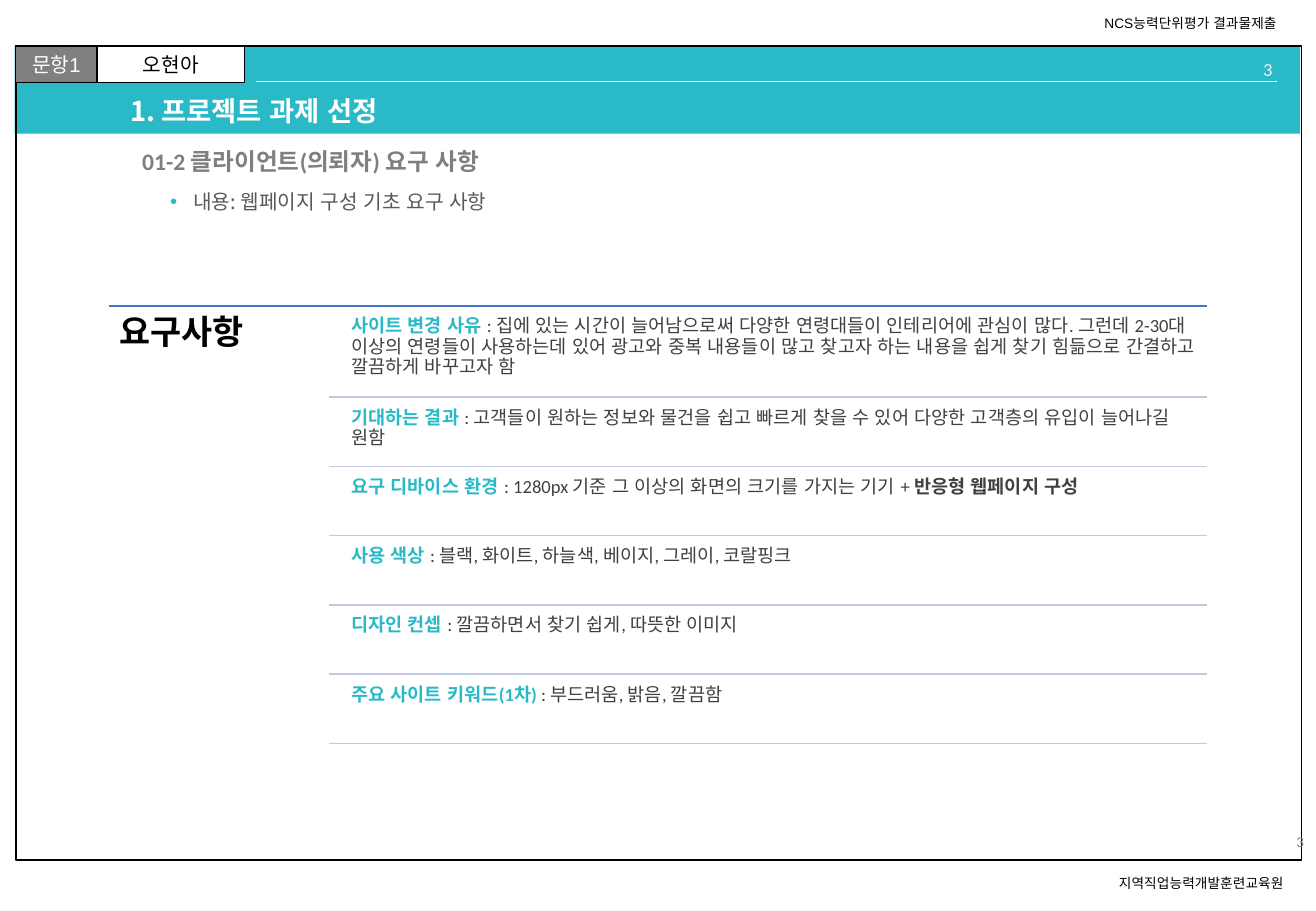
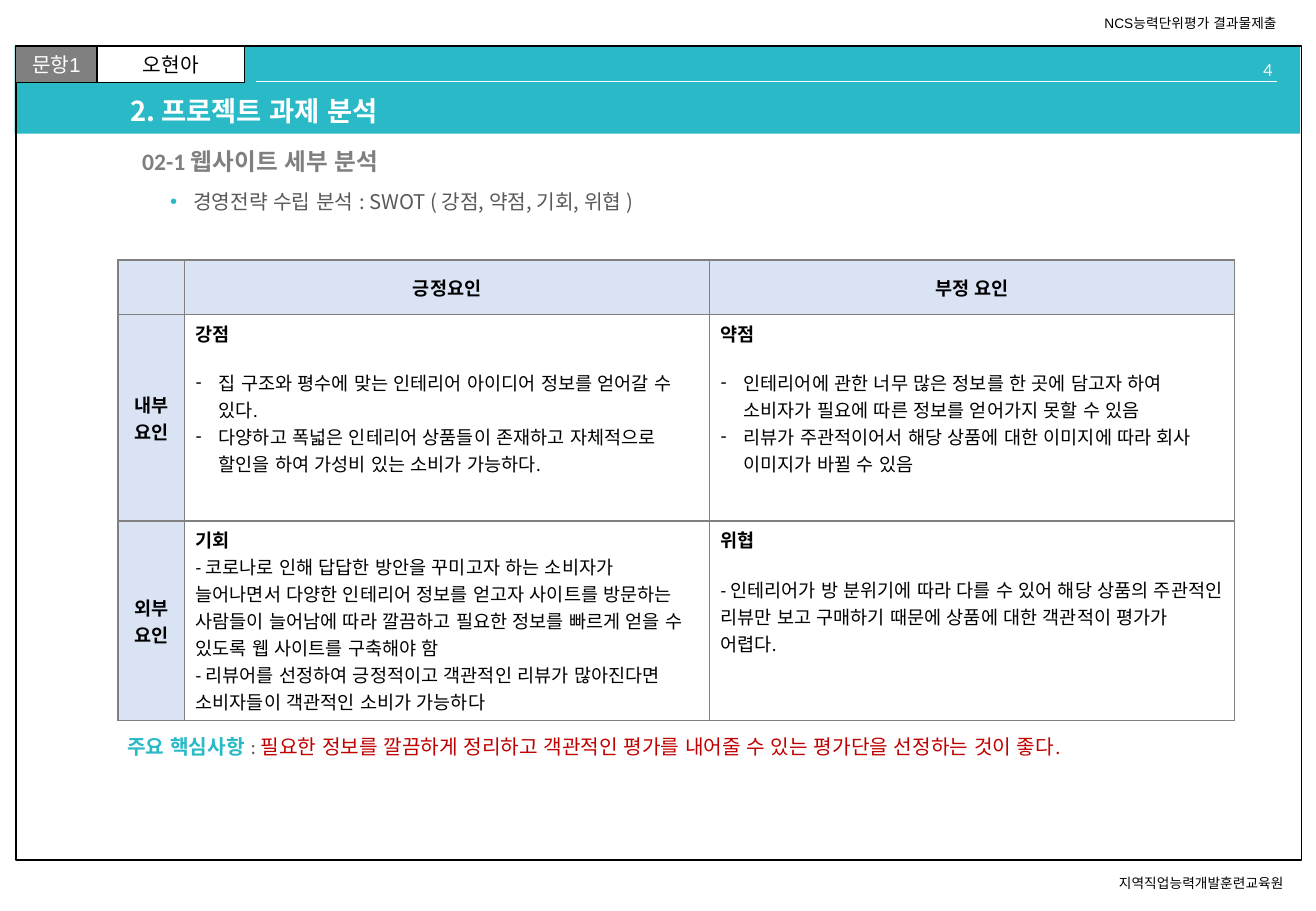
from dataclasses import dataclass
from typing import NamedTuple

from lxml import etree
from pptx import Presentation
from pptx.dml.color import RGBColor
from pptx.enum.lang import MSO_LANGUAGE_ID
from pptx.enum.shapes import MSO_CONNECTOR, MSO_SHAPE
from pptx.enum.text import MSO_ANCHOR, MSO_AUTO_SIZE, PP_ALIGN
from pptx.oxml.ns import qn
from pptx.util import Inches, Pt

LEFT, CENTER, RIGHT = PP_ALIGN.LEFT, PP_ALIGN.CENTER, PP_ALIGN.RIGHT
TOP, MIDDLE, BOTTOM = MSO_ANCHOR.TOP, MSO_ANCHOR.MIDDLE, MSO_ANCHOR.BOTTOM
KOREAN = MSO_LANGUAGE_ID.KOREAN
RECTANGLE, STRAIGHT = MSO_SHAPE.RECTANGLE, MSO_CONNECTOR.STRAIGHT
NO_AUTOFIT = MSO_AUTO_SIZE.NONE
TWO_CONTENT = 3


@dataclass(frozen=True)
class Theme:
    teal: str = "2AB9C7"
    black: str = "000000"
    white: str = "FFFFFF"
    gray: str = "808080"
    subtitle: str = "7F7F7F"
    body: str = "595959"
    dark: str = "404040"
    pale: str = "F2F2F2"
    blue: str = "4472C4"
    lavender: str = "C1C9E4"
    header_fill: str = "DAE3F3"
    red: str = "C00000"
    latin: str = "Calibri"
    korean: str = "Noto Sans CJK KR"
    frame: str = "Arial"
    note_size: float = 8.1
    small_number_size: float = 8.9
    text_size: float = 11
    label_size: float = 12
    subtitle_size: float = 14
    title_size: float = 16.2
    heading_size: float = 20


THEME = Theme()


class Place(NamedTuple):
    left: float
    top: float
    width: float
    height: float


class Span(NamedTuple):
    text: str
    color: str = THEME.black
    bold: bool = False


class Requirement(NamedTuple):
    label: str
    text: str
    emphasis: str = ""


class Factor(NamedTuple):
    heading: str
    points: tuple[str, ...]
    bulleted: bool = False
    gap: float = 13.5


class Heading(NamedTuple):
    number: str
    title: str
    subtitle: str
    bullet: str


# Text and shape helpers
def write(para, text: str, *, size: float = THEME.text_size, font: str = THEME.latin,
          color: str = THEME.black, bold: bool = False) -> None:
    span = para.add_run()
    span.text = text
    span.font.size = Pt(size)
    span.font.name = font
    span.font.bold = bold
    span.font.color.rgb = RGBColor.from_string(color)
    span.font.language_id = KOREAN


def set_bullet(para, character: str = "", color: str = "", indent: float = 0.19) -> None:
    properties = para._p.get_or_add_pPr()
    margin = Inches(indent) if character else 0
    properties.set("marL", str(margin))
    properties.set("indent", str(-margin))
    if not character:
        etree.SubElement(properties, qn("a:buNone"))
        return
    if color:
        holder = etree.SubElement(properties, qn("a:buClr"))
        etree.SubElement(holder, qn("a:srgbClr"), val=color)
    etree.SubElement(properties, qn("a:buFont"), typeface="Arial")
    etree.SubElement(properties, qn("a:buChar"), char=character)


def move(shape, place: Place) -> None:
    shape.left, shape.top, shape.width, shape.height = map(Inches, place)


def set_insets(frame, across: float, down: float) -> None:
    frame.margin_left = frame.margin_right = Inches(across)
    frame.margin_top = frame.margin_bottom = Inches(down)


def add_text(page, place: Place, *spans: Span, size: float, font: str = THEME.latin,
             align=LEFT, anchor=TOP, wrap: bool = True, spacing: float = 1.0,
             insets: tuple[float, float] = (0.1, 0.05)) -> None:
    frame = page.shapes.add_textbox(*map(Inches, place)).text_frame
    frame.word_wrap, frame.vertical_anchor = wrap, anchor
    set_insets(frame, *insets)
    para = frame.paragraphs[0]
    para.alignment, para.line_spacing = align, spacing
    for span in spans:
        write(para, span.text, size=size, font=font, color=span.color, bold=span.bold)


def add_box(page, place: Place, fill: str = "", line: str = "", width: float = 0.75,
            text: str = "", color: str = THEME.black) -> None:
    box = page.shapes.add_shape(RECTANGLE, *map(Inches, place))
    box.shadow.inherit = False
    if fill:
        box.fill.solid()
        box.fill.fore_color.rgb = RGBColor.from_string(fill)
    else:
        box.fill.background()
    if line:
        box.line.color.rgb = RGBColor.from_string(line)
        box.line.width = Pt(width)
    else:
        box.line.fill.background()
    if text:
        frame = box.text_frame
        set_insets(frame, 0, 0)
        frame.vertical_anchor = MIDDLE
        frame.paragraphs[0].alignment = CENTER
        write(frame.paragraphs[0], text, size=THEME.label_size, font=THEME.frame, color=color)


def add_rule(page, left: float, right: float, top: float, color: str, width: float = 1) -> None:
    rule = page.shapes.add_connector(STRAIGHT, *map(Inches, (left, top, right, top)))
    rule.line.color.rgb = RGBColor.from_string(color)
    rule.line.width = Pt(width)
    etree.SubElement(rule.element.spPr, qn("a:effectLst"))


# Shared frame, kept on the layout behind every page
def build_frame(page, layout) -> None:
    add_box(page, Place(0.12, 0.38, 10.58, 0.72), fill=THEME.teal)
    add_box(page, Place(0.13, 0.38, 10.58, 6.7), line=THEME.black, width=1)
    for place, note in ((Place(9.11, 7.15, 1.68, 0.24), "지역직업능력개발훈련교육원"),
                        (Place(8.99, 0.07, 1.72, 0.24), "NCS능력단위평가 결과물제출")):
        add_text(page, place, Span(note), size=THEME.note_size, font=THEME.frame, wrap=False)
    add_box(page, Place(0.13, 0.38, 0.67, 0.3), THEME.gray, THEME.black,
            text="문항1", color=THEME.white)
    add_box(page, Place(0.8, 0.38, 1.21, 0.3), THEME.white, THEME.black, text="오현아")
    add_rule(page, 2.11, 10.51, 0.67, THEME.white, 0.5)
    parts = [shape for shape in page.shapes if not shape.is_placeholder]
    for order, shape in enumerate(parts):
        shape.element.xpath("./*/p:cNvPr")[0].set("id", str(100 + order))
        layout.shapes.element.insert(2 + order, shape.element)


def fill_placeholder(holder, place: Place, text: str, *, anchor=MIDDLE, spacing: float = 0.9,
                     bullet: str = "", **style) -> None:
    move(holder, place)
    frame = holder.text_frame
    frame.auto_size, frame.word_wrap, frame.vertical_anchor = NO_AUTOFIT, True, anchor
    set_insets(frame, 0.1, 0.05)
    para = frame.paragraphs[0]
    set_bullet(para, bullet, THEME.teal)
    para.alignment, para.line_spacing, para.space_before = LEFT, spacing, Pt(0)
    write(para, text, **style)


def fill_headings(page, heading: Heading) -> None:
    title, subtitle, body = page.placeholders
    fill_placeholder(title, Place(0.97, 0.76, 8.76, 0.34), heading.title,
                     size=THEME.title_size, font=THEME.korean, color=THEME.white, bold=True)
    fill_placeholder(subtitle, Place(1.07, 1.17, 8.66, 0.34), heading.subtitle,
                     size=THEME.subtitle_size, color=THEME.subtitle, bold=True)
    fill_placeholder(body, Place(1.3, 1.51, 8.43, 0.34), heading.bullet, anchor=TOP, spacing=1.0,
                     bullet="•", size=THEME.label_size, font=THEME.korean, color=THEME.body)
    add_text(page, Place(9.39, 0.43, 1.18, 0.2), Span(heading.number, THEME.pale),
             size=THEME.text_size, align=RIGHT)


# Client requirements
REQUIREMENTS = (
    Requirement("사이트 변경 사유 ", ": 집에 있는 시간이 늘어남으로써 다양한 연령대들이 인테리어에 관심이 많다. "
                "그런데 2-30대 이상의 연령들이 사용하는데 있어 광고와 중복 내용들이 많고 찾고자 하는 내용을 "
                "쉽게 찾기 힘듦으로 간결하고 깔끔하게 바꾸고자 함"),
    Requirement("기대하는 결과 ", ": 고객들이 원하는 정보와 물건을 쉽고 빠르게 찾을 수 있어 "
                "다양한 고객층의 유입이 늘어나길 원함"),
    Requirement("요구 디바이스 환경 ", ": 1280px 기준 그 이상의 화면의 크기를 가지는 기기 + ",
                "반응형 웹페이지 구성"),
    Requirement("사용 색상 ", ": 블랙, 화이트, 하늘색, 베이지, 그레이, 코랄핑크"),
    Requirement("디자인 컨셉 ", ": 깔끔하면서 찾기 쉽게, 따뜻한 이미지"),
    Requirement("주요 사이트 키워드(1차) ", ": 부드러움, 밝음, 깔끔함"),
)


def draw_requirements(page) -> None:
    add_text(page, Place(9.53, 6.82, 1.3, 0.23), Span("3", THEME.gray),
             size=THEME.small_number_size, align=RIGHT, anchor=BOTTOM)
    right, top, first_height, step, offset = 9.93, 2.52, 0.75, 0.57, 0.04
    add_rule(page, 0.9, right, top, THEME.blue)
    add_text(page, Place(0.9, top, 1.81, 3.64), Span("요구사항", bold=True),
             size=THEME.heading_size, spacing=0.9, insets=(0.08, 0.08))
    for order, item in enumerate(REQUIREMENTS):
        height = step if order else first_height
        spans = [Span(item.label, THEME.teal, True), Span(item.text, THEME.dark)]
        if item.emphasis:
            spans.append(Span(item.emphasis, THEME.dark, True))
        add_text(page, Place(2.84, top + offset, 7.09, height - offset), *spans,
                 size=THEME.text_size, spacing=0.9, insets=(0.05, 0.05))
        top += height
        add_rule(page, 2.71, right, top, THEME.lavender)


# SWOT table
SWOT = (
    ("", "긍정요인", "부정 요인"),
    ("내부요인",
     Factor("강점", ("집 구조와 평수에 맞는 인테리어 아이디어 정보를 얻어갈 수 있다.",
                   "다양하고 폭넓은 인테리어 상품들이 존재하고 자체적으로 할인을 하여 "
                   "가성비 있는 소비가 가능하다."), bulleted=True),
     Factor("약점", ("인테리어에 관한 너무 많은 정보를 한 곳에 담고자 하여 "
                   "소비자가 필요에 따른 정보를 얻어가지 못할 수 있음",
                   "리뷰가 주관적이어서 해당 상품에 대한 이미지에 따라 회사 이미지가 바뀔 수 있음"),
            bulleted=True)),
    ("외부요인",
     Factor("기회", ("- 코로나로 인해 답답한 방안을 꾸미고자 하는 소비자가 늘어나면서 다양한 인테리어 정보를 "
                   "얻고자 사이트를 방문하는 사람들이 늘어남에 따라 깔끔하고 필요한 정보를 빠르게 얻을 수 "
                   "있도록 웹 사이트를 구축해야 함",
                   "- 리뷰어를 선정하여 긍정적이고 객관적인 리뷰가 많아진다면 "
                   "소비자들이 객관적인 소비가 가능하다"), gap=0),
     Factor("위협", ("- 인테리어가 방 분위기에 따라 다를 수 있어 해당 상품의 주관적인 리뷰만 보고 "
                   "구매하기 때문에 상품에 대한 객관적이 평가가 어렵다.",))),
)


def set_borders(cell) -> None:
    properties = cell._tc.get_or_add_tcPr()
    for order, side in enumerate(("lnL", "lnR", "lnT", "lnB")):
        border = etree.Element(qn(f"a:{side}"), w=str(Pt(1)))
        solid = etree.SubElement(border, qn("a:solidFill"))
        etree.SubElement(solid, qn("a:srgbClr"), val=THEME.gray)
        properties.insert(order, border)


def fill_cell(cell, content: str | Factor) -> None:
    set_insets(cell, 0.09, 0.04)
    para = cell.text_frame.paragraphs[0]
    if isinstance(content, Factor):
        cell.fill.background()
        write(para, content.heading, bold=True)
        for order, point in enumerate(content.points):
            para = cell.text_frame.add_paragraph()
            if content.bulleted:
                set_bullet(para, "-")
            para.space_before = Pt(0 if order else content.gap)
            write(para, point)
    else:
        cell.fill.solid()
        cell.fill.fore_color.rgb = RGBColor.from_string(THEME.header_fill)
        cell.vertical_anchor = MIDDLE
        para.alignment = CENTER
        if content:
            write(para, content, bold=True)
    set_borders(cell)


def draw_swot(page) -> None:
    widths, heights = (0.55, 4.32, 4.32), (0.45, 1.7, 1.64)
    place = Place(0.97, 2.14, sum(widths), sum(heights))
    table = page.shapes.add_table(len(heights), len(widths), *map(Inches, place)).table
    for column, width in zip(table.columns, widths):
        column.width = Inches(width)
    for row, height, contents in zip(table.rows, heights, SWOT):
        row.height = Inches(height)
        for cell, content in zip(row.cells, contents):
            fill_cell(cell, content)
    add_text(page, Place(0.95, 6, 8.95, 0.3), Span("주요 핵심사항 ", THEME.teal, True),
             Span(": ", THEME.body),
             Span("필요한 정보를 깔끔하게 정리하고 객관적인 평가를 내어줄 수 있는 "
                  "평가단을 선정하는 것이 좋다.", THEME.red), size=THEME.label_size)


PAGES = (
    (Heading("3", "1. 프로젝트 과제 선정", "01-2 클라이언트(의뢰자) 요구 사항",
             "내용: 웹페이지 구성 기초 요구 사항"), draw_requirements),
    (Heading("4", "2. 프로젝트 과제 분석", "02-1 웹사이트 세부 분석",
             "경영전략 수립 분석 : SWOT ( 강점, 약점, 기회, 위협 )"), draw_swot),
)


def main() -> None:
    deck = Presentation()
    deck.slide_width, deck.slide_height = Inches(10.83), Inches(7.5)
    layout = deck.slide_layouts[TWO_CONTENT]
    pages = [deck.slides.add_slide(layout) for _ in PAGES]
    build_frame(pages[0], layout)
    for page, (heading, draw_content) in zip(pages, PAGES):
        fill_headings(page, heading)
        draw_content(page)
    deck.save("out.pptx")


if __name__ == "__main__":
    main()
